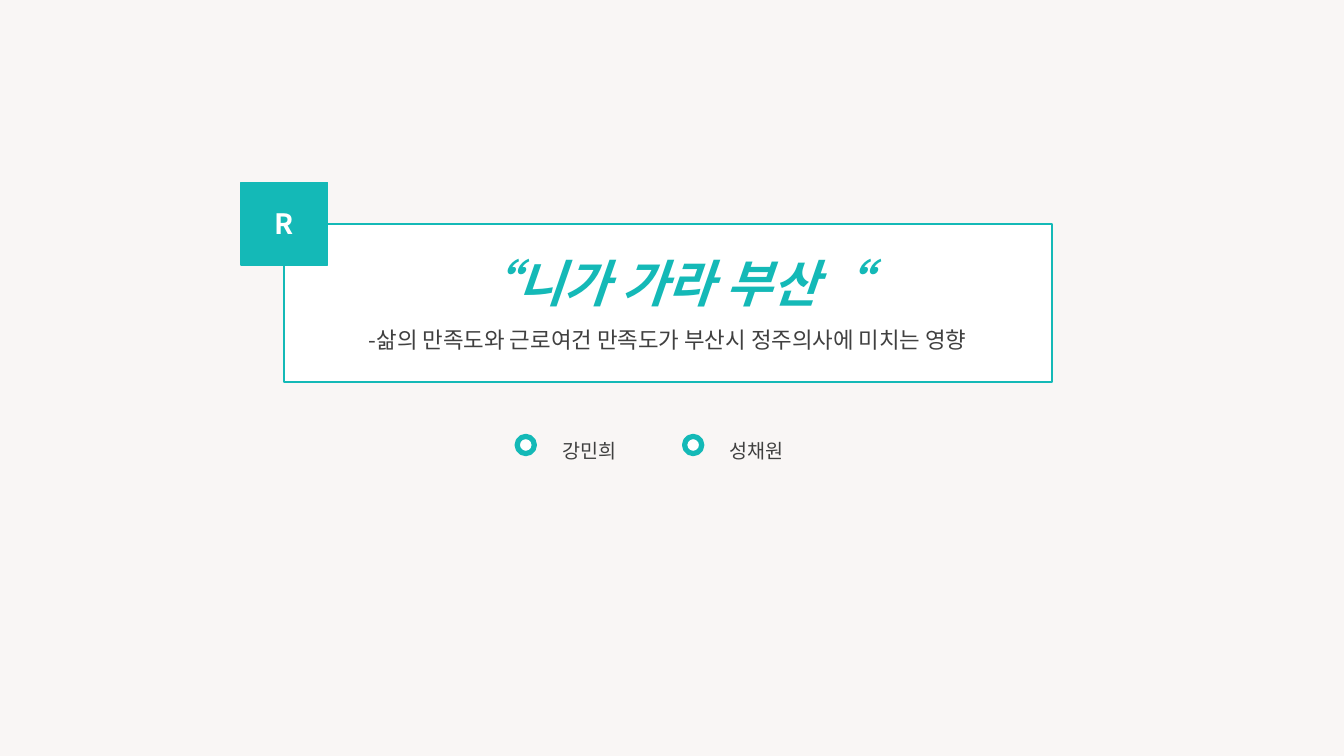
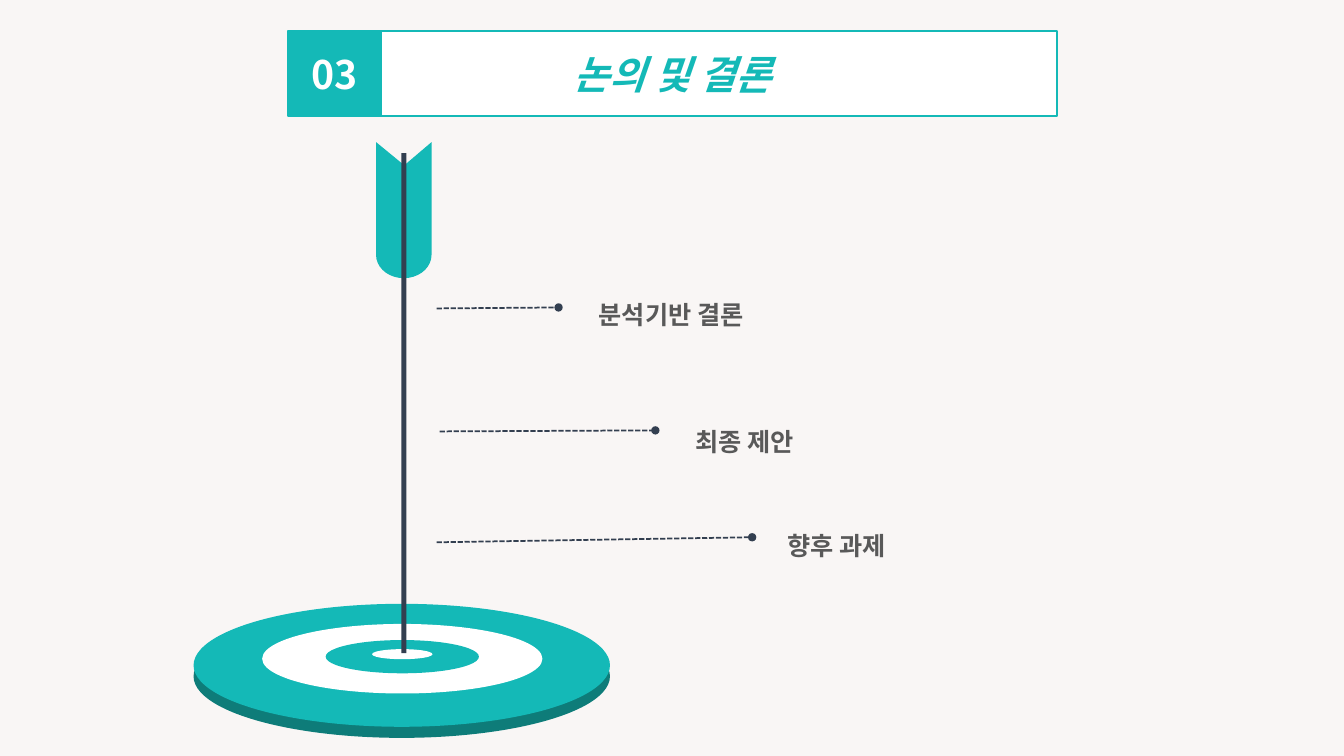
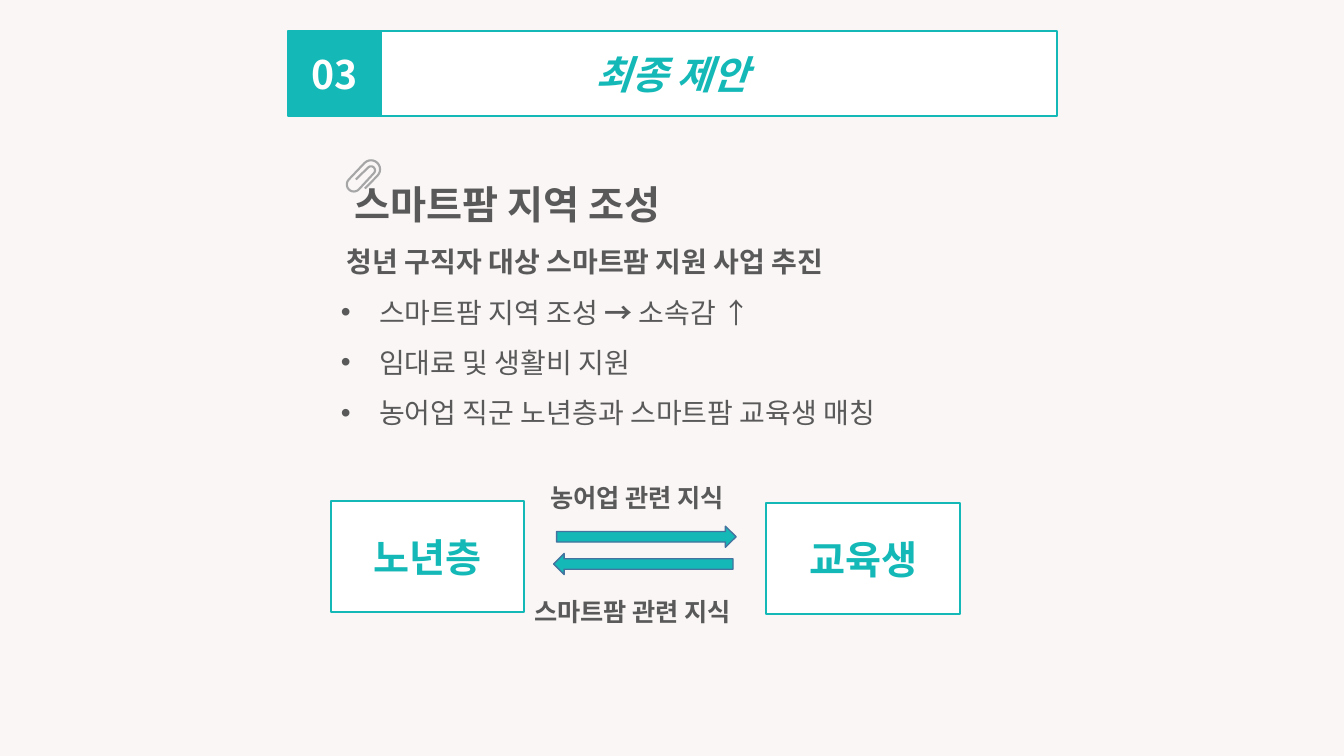
import math
from lxml import etree
from pptx import Presentation
from pptx.dml.color import RGBColor
from pptx.enum import dml, shapes, text
from pptx.oxml import ns
from pptx.util import Inches, Pt

FONT = "Noto Sans CJK KR"
TEAL, DEEP_TEAL, WHITE, NAVY = "14B9B7", "0E7C79", "FFFFFF", "333F50"
DARK, GRAY, CLIP_GRAY, ARROW_EDGE = "404040", "595959", "A6A6A6", "43739E"
SHAPE = shapes.MSO_SHAPE
CENTER = text.PP_ALIGN.CENTER
color = RGBColor.from_string


def place(shape, box=None, fill=None, line=None, width=1.5):
    if box:
        shape.left, shape.top, shape.width, shape.height = map(Inches, box)
    if fill:
        shape.fill.solid()
        shape.fill.fore_color.rgb = color(fill)
    else:
        shape.fill.background()
    if line:
        shape.line.color.rgb = color(line)
        shape.line.width = Pt(width)
    else:
        shape.line.fill.background()
    shape.shadow.inherit = False
    frame = shape.text_frame
    frame.word_wrap = True
    frame.auto_size = text.MSO_AUTO_SIZE.NONE
    return frame


def style(paragraph, size, ink, bold=False, italic=False, align=None, spacing=None):
    paragraph.alignment = align
    paragraph.line_spacing = spacing
    paragraph.space_before = Pt(0)
    for run in paragraph.runs:
        font = run.font
        font.name, font.size, font.bold, font.italic = FONT, Pt(size), bold, italic
        font.color.rgb = color(ink)
        latin = run._r.rPr.find(ns.qn("a:latin"))
        east_asian = etree.Element(ns.qn("a:ea"), typeface=FONT)
        latin.addnext(east_asian)


presentation = Presentation()
presentation.slide_width, presentation.slide_height = Inches(13.33), Inches(7.5)
background = presentation.slide_master.background.fill
background.solid()
background.fore_color.rgb = color("F9F6F5")
content_layout, title_layout = presentation.slide_layouts[1], presentation.slide_layouts[5]
cover, target, proposal = [
    presentation.slides.add_slide(layout) for layout in (title_layout, title_layout, content_layout)
]

headers = [
    (cover, "“니가 가라 부산“", 36, (2.82, 2.22, 7.61, 1.57), "R", 20, (2.39, 1.81, 0.86, 0.82)),
    (target, "논의 및 결론", 28, (2.86, 0.31, 7.62, 0.84), "03", 28, (2.86, 0.31, 0.92, 0.84)),
    (proposal, "최종 제안", 28, (2.86, 0.31, 7.62, 0.84), "03", 28, (2.86, 0.31, 0.92, 0.84)),
]
for slide, title, title_size, title_box, tag, tag_size, tag_box in headers:
    frame = place(slide.shapes.title, title_box, WHITE, TEAL)
    frame.text = title
    frame.vertical_anchor = text.MSO_ANCHOR.MIDDLE
    style(frame.paragraphs[0], title_size, TEAL, True, True, CENTER)
    badge = slide.shapes.add_shape(SHAPE.RECTANGLE, 0, 0, 0, 0)
    frame = place(badge, tag_box, TEAL, TEAL, 1)
    frame.text = tag
    style(frame.paragraphs[0], tag_size, WHITE, True, align=CENTER)

subtitle = cover.shapes.title.text_frame.add_paragraph()
subtitle.text = "-삶의 만족도와 근로여건 만족도가 부산시 정주의사에 미치는 영향"
style(subtitle, 16, DARK, align=CENTER, spacing=1.5)

for left, author in [(5.13, "강민희"), (6.79, "성채원")]:
    ring = cover.shapes.add_shape(SHAPE.OVAL, 0, 0, 0, 0)
    place(ring, (left, 4.33, 0.17, 0.17), WHITE, TEAL, 3.75)
    frame = place(cover.shapes.add_textbox(0, 0, 0, 0), (left + 0.35, 4.19, 0.79, 0.45))
    frame.text = author
    style(frame.paragraphs[0], 14, DARK, spacing=1.5)

target_rings = [
    (1.92, 6.1, 4.13, 1.22, DEEP_TEAL),
    (1.92, 5.99, 4.13, 1.22, TEAL),
    (2.6, 6.19, 2.78, 0.69, WHITE),
    (3.23, 6.35, 1.52, 0.33, TEAL),
    (3.69, 6.44, 0.6, 0.1, WHITE),
]
for *box, fill in target_rings:
    place(target.shapes.add_shape(SHAPE.OVAL, 0, 0, 0, 0), box, fill)

feather_points = [(4.01, 1.64), (4.28, 1.41)]
for degrees in range(0, 181, 10):
    angle = math.radians(degrees)
    feather_points.append((4.005 + 0.275 * math.cos(angle), 2.53 + 0.23 * math.sin(angle)))
feather = target.shapes.build_freeform(Inches(3.73), Inches(1.41))
feather.add_line_segments([(Inches(x), Inches(y)) for x, y in feather_points])
place(feather.convert_to_shape(), fill=TEAL)
place(target.shapes.add_shape(SHAPE.RECTANGLE, 0, 0, 0, 0), (3.98, 1.52, 0.05, 4.96), NAVY)

topics = [
    ("분석기반 결론", (4.33, 3.06, 5.54, 3.05), (5.84, 2.77)),
    ("최종 제안", (4.36, 4.28, 6.5, 4.27), (6.8, 4.03)),
    ("향후 과제", (4.33, 5.38, 7.46, 5.33), (7.71, 5.06)),
]
for topic, ends, corner in topics:
    pointer = target.shapes.add_connector(shapes.MSO_CONNECTOR.STRAIGHT, *map(Inches, ends))
    pointer.line.color.rgb = color(NAVY)
    pointer.line.width = Pt(1.25)
    pointer.line.dash_style = dml.MSO_LINE.SQUARE_DOT
    etree.SubElement(pointer.line._get_or_add_ln(), ns.qn("a:tailEnd"), type="oval")
    etree.SubElement(pointer._element.spPr, ns.qn("a:effectLst"))
    frame = place(target.shapes.add_textbox(0, 0, 0, 0), (*corner, 2.77, 0.5))
    frame.text = topic
    style(frame.paragraphs[0], 18, GRAY, True, spacing=1.5)

body = place(proposal.placeholders[1], (3.28, 1.51, 9.7, 3.2))
body.vertical_anchor = text.MSO_ANCHOR.TOP
body_lines = [
    (["스마트팜 지역 조성"], 28, 0.14, False),
    (["청년 구직자 대상 스마트팜 지원 사업 추진"], 20, 0.06, False),
    (["스마트팜 지역 조성 ", "→ ", "소속감 ↑"], 20, 0.38, True),
    (["임대료 및 생활비 지원"], 20, 0.38, True),
    (["농어업 직군 노년층과 스마트팜 교육생 매칭"], 20, 0.38, True),
]
for index, (parts, size, indent, bulleted) in enumerate(body_lines):
    paragraph = body.add_paragraph() if index else body.paragraphs[0]
    properties = paragraph._p.get_or_add_pPr()
    properties.set("marL", str(Inches(indent)))
    properties.set("indent", str(-Inches(indent) if bulleted else 0))
    if bulleted:
        etree.SubElement(properties, ns.qn("a:buChar"), char="•")
    else:
        etree.SubElement(properties, ns.qn("a:buNone"))
    for part in parts:
        paragraph.add_run().text = part
    style(paragraph, size, GRAY, not bulleted, spacing=1.5)
    for run in paragraph.runs[1:2]:
        run.font.bold = True

clip_points = []
for center_x, center_y, radius, start in [
    (3.68, 1.68, 0.09, 45),
    (3.51, 1.83, 0.07, 225),
    (3.68, 1.69, 0.04, 45),
]:
    for step in range(0, 181, 15):
        angle = math.radians(start - step)
        clip_points.append((center_x + radius * math.cos(angle), center_y + radius * math.sin(angle)))
clip_points.append((3.53, 1.78))
clip = proposal.shapes.build_freeform(Inches(3.62), Inches(1.87))
clip.add_line_segments([(Inches(x), Inches(y)) for x, y in clip_points], close=False)
place(clip.convert_to_shape(), line=CLIP_GRAY)

for group, left, top in [("교육생", 7.6, 4.99), ("노년층", 3.28, 4.97)]:
    card = proposal.shapes.add_shape(SHAPE.RECTANGLE, 0, 0, 0, 0)
    frame = place(card, (left, top, 1.92, 1.1), WHITE, TEAL)
    frame.text = group
    style(frame.paragraphs[0], 28, TEAL, True, align=CENTER)

exchanges = [
    ("농어업 관련 지식", (5.36, 4.74, 2.17, 0.4), (5.52, 5.22, 1.78, 0.21), 0),
    ("스마트팜 관련 지식", (5.2, 5.87, 2.42, 0.4), (5.49, 5.49, 1.78, 0.21), 180),
]
for label, label_box, arrow_box, rotation in exchanges:
    arrow = proposal.shapes.add_shape(SHAPE.RIGHT_ARROW, 0, 0, 0, 0)
    place(arrow, arrow_box, TEAL, ARROW_EDGE, 1)
    arrow.rotation = rotation
    frame = place(proposal.shapes.add_textbox(0, 0, 0, 0), label_box)
    frame.text = label
    style(frame.paragraphs[0], 18, GRAY, True)

presentation.save("out.pptx")
